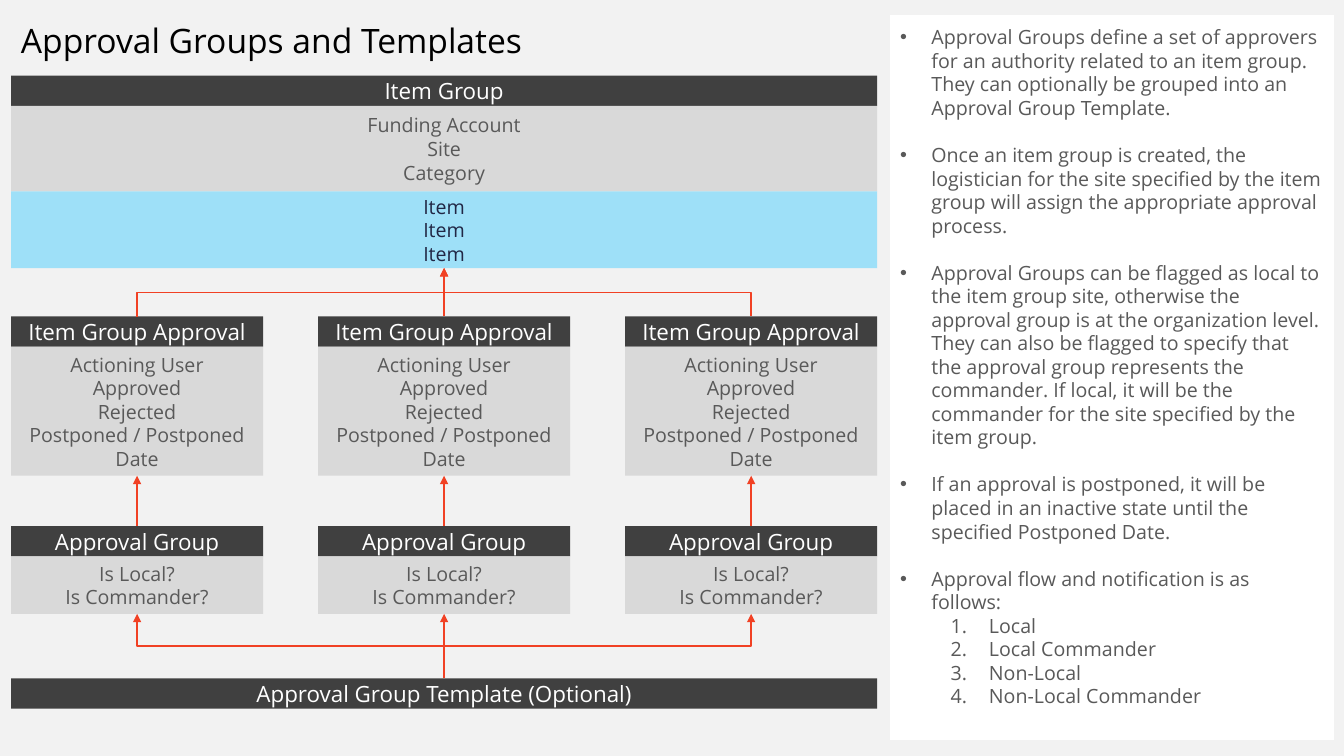
import pptx
import pptx.util
import pptx.dml.color
import pptx.enum.shapes
import pptx.enum.text
import pptx.oxml.ns
import pptx.oxml.xmlchemy
from lxml import etree

Inches = pptx.util.Inches
Pt = pptx.util.Pt
qn = pptx.oxml.ns.qn
ALIGN = pptx.enum.text.PP_ALIGN
ANCHOR = pptx.enum.text.MSO_ANCHOR
CONNECTOR = pptx.enum.shapes.MSO_CONNECTOR

COLORS = {
    "background": "F2F2F2", "panel": "FFFFFF", "header": "404040",
    "body": "D9D9D9", "items": "9EE0F8", "title": "000000",
    "header_text": "FFFFFF", "text": "595959", "item_text": "212745",
    "arrow": "F14124",
}
FONT = "Open Sans"
LEFT, FULL_W, COLUMN_W, HEADER_H = 0.11, 8.59, 2.5, 0.3
COLUMNS = 3
COLUMN_STEP = (FULL_W - COLUMN_W) / (COLUMNS - 1)

NOTES = [
    "Approval Groups define a set of approvers for an authority related to an "
    "item group. They can optionally be grouped into an Approval Group Template.",
    "Once an item group is created, the logistician for the site specified by "
    "the item group will assign the appropriate approval process.",
    "Approval Groups can be flagged as local to the item group site, otherwise "
    "the approval group is at the organization level. They can also be flagged "
    "to specify that the approval group represents the commander. If local, it "
    "will be the commander for the site specified by the item group.",
    "If an approval is postponed, it will be placed in an inactive state until "
    "the specified Postponed Date.",
    "Approval flow and notification is as follows:",
]
FLOW = ["Local", "Local Commander", "Non-Local", "Non-Local Commander"]


def rgb(name):
    return pptx.dml.color.RGBColor.from_string(COLORS[name])


def style(p, size, color, align=ALIGN.LEFT):
    p.alignment = align
    for r in p.runs:
        r.font.name = FONT
        r.font.size = Pt(size)
        r.font.color.rgb = rgb(color)


def add_box(s, x, y, w, h, fill, lines=(), size=14, color="text"):
    sp = s.shapes.add_shape(pptx.enum.shapes.MSO_SHAPE.RECTANGLE,
                            Inches(x), Inches(y), Inches(w), Inches(h))
    sp.shadow.inherit = False
    sp.fill.solid()
    sp.fill.fore_color.rgb = rgb(fill)
    sp.line.fill.background()
    tf = sp.text_frame
    tf.word_wrap = True
    tf.vertical_anchor = ANCHOR.MIDDLE
    tf.text = "\n".join(lines)
    for p in tf.paragraphs:
        style(p, size, color, ALIGN.CENTER)
    return sp


def add_header(s, x, y, w, text):
    return add_box(s, x, y, w, HEADER_H, "header", [text], 16, "header_text")


def add_card(s, x, y, w, h, heading, lines):
    """A header bar with a grey body right below it."""
    header = add_header(s, x, y, w, heading)
    return header, add_box(s, x, y + HEADER_H, w, h, "body", lines)


def add_arrow(s, start, end):
    """Arrow from the top of one box up to the bottom of another."""
    x1, y1 = start.left + start.width // 2, start.top
    x2, y2 = end.left + end.width // 2, end.top + end.height
    straight = abs(x1 - x2) < Inches(0.01)
    kind = CONNECTOR.STRAIGHT if straight else CONNECTOR.ELBOW
    c = s.shapes.add_connector(kind, x1, y1, x2, y2)
    c.begin_connect(start, 0)
    c.end_connect(end, 2)
    spPr = c._element.spPr
    if not straight:
        # Turn the elbow so that it leaves and arrives vertically
        w, h = abs(y1 - y2), abs(x1 - x2)
        c.left, c.top = (x1 + x2 - w) // 2, (y1 + y2 - h) // 2
        c.width, c.height = w, h
        xfrm = spPr.find(qn("a:xfrm"))
        for flip in ("flipH", "flipV"):
            xfrm.attrib.pop(flip, None)
        xfrm.set("rot", str(270 * 60000))
        if x2 < x1:
            xfrm.set("flipV", "1")
    c.line.color.rgb = rgb("arrow")
    c.line.width = Pt(1)
    etree.SubElement(spPr.find(qn("a:ln")), qn("a:tailEnd"), type="triangle")
    etree.SubElement(spPr, qn("a:effectLst"))


def add_list_item(p, text, margin, hanging, mark, **attributes):
    p.text = text
    style(p, 14, "text")
    pPr = p._p.get_or_add_pPr()
    pPr.set("marL", str(Inches(margin)))
    pPr.set("indent", str(-Inches(hanging)))
    font = "Arial" if mark == "a:buChar" else FONT
    etree.SubElement(pPr, qn("a:buFont"), typeface=font)
    etree.SubElement(pPr, qn(mark), **attributes)


def add_notes_panel(s):
    tf = add_box(s, 8.83, 0.15, 4.4, 7.19, "panel").text_frame
    tf.vertical_anchor = ANCHOR.TOP
    tf.margin_top = tf.margin_bottom = Inches(0.1)
    for i, note in enumerate(NOTES):
        p = tf.add_paragraph() if i else tf.paragraphs[0]
        p.space_before = Pt(16.8 if i else 0)
        add_list_item(p, note, 0.31, 0.31, "a:buChar", char="•")
    for step in FLOW:
        p = tf.add_paragraph()
        p.level = 1
        add_list_item(p, step, 0.88, 0.38, "a:buAutoNum", type="arabicPeriod")


def add_title(s, text):
    tf = s.shapes.add_textbox(Inches(LEFT), Inches(0.15),
                              Inches(FULL_W), Inches(0.5)).text_frame
    tf.word_wrap = True
    tf.text = text
    style(tf.paragraphs[0], 24, "title")


def main():
    prs = pptx.Presentation()
    prs.slide_width, prs.slide_height = Inches(13.33), Inches(7.5)
    s = prs.slides.add_slide(prs.slide_layouts[6])
    s.background.fill.solid()
    s.background.fill.fore_color.rgb = rgb("background")

    add_notes_panel(s)
    add_title(s, "Approval Groups and Templates")

    # Item group and template across the full width
    add_card(s, LEFT, 0.75, FULL_W, 0.85, "Item Group",
             ["Funding Account", "Site", "Category"])
    items = add_box(s, LEFT, 1.9, FULL_W, 0.76, "items", ["Item"] * 3,
                    color="item_text")
    template = add_header(s, LEFT, 6.73, FULL_W,
                          "Approval Group Template (Optional)")

    # One approval and one group per column, joined upwards
    for i in range(COLUMNS):
        x = LEFT + i * COLUMN_STEP
        approval, approval_body = add_card(
            s, x, 3.14, COLUMN_W, 1.28, "Item Group Approval",
            ["Actioning User", "Approved", "Rejected",
             "Postponed / Postponed Date"])
        group, group_body = add_card(
            s, x, 5.22, COLUMN_W, 0.57, "Approval Group",
            ["Is Local?", "Is Commander?"])
        add_arrow(s, template, group_body)
        add_arrow(s, group, approval_body)
        add_arrow(s, approval, items)

    prs.save("out.pptx")


if __name__ == "__main__":
    main()
